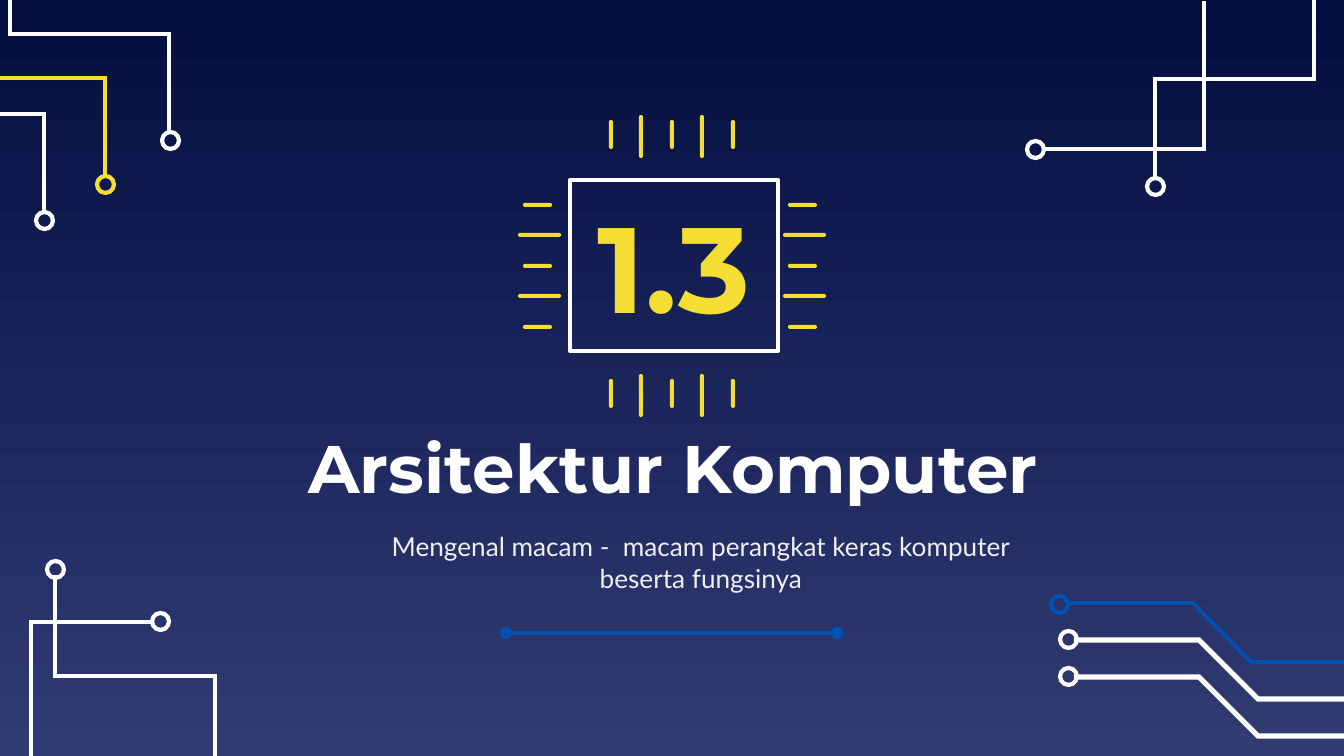
from lxml import etree
from pptx import Presentation
from pptx import util as u
from pptx.dml.color import RGBColor
from pptx.enum import shapes, text
from pptx.oxml import ns

PX = 914400 / 134.4  # EMU per px
NIGHT = RGBColor(0x04, 0x0E, 0x41)
INDIGO = RGBColor(0x30, 0x3B, 0x72)
WHITE = RGBColor(0xFF, 0xFF, 0xFF)
YELLOW = RGBColor(0xF5, 0xDE, 0x34)
BLUE = RGBColor(0x01, 0x52, 0xB1)
PALE = RGBColor(0xEF, 0xEF, 0xEF)


def add_outlined(kind, left, top, width, height, color):
    shape = slide.shapes.add_shape(kind, *[u.Emu(round(v * PX)) for v in (left, top, width, height)])
    shape.shadow.inherit = False
    shape.fill.background()
    shape.line.color.rgb = color
    shape.line.width = u.Pt(2.25)
    return shape


def write(frame, words, font, size, color, bold):
    frame.word_wrap = True
    frame.auto_size = text.MSO_AUTO_SIZE.NONE
    frame.vertical_anchor = text.MSO_ANCHOR.MIDDLE
    frame.margin_left = frame.margin_right = u.Inches(0.1)
    frame.margin_top = frame.margin_bottom = u.Inches(0.1)
    paragraph = frame.paragraphs[0]
    paragraph.alignment = text.PP_ALIGN.CENTER
    paragraph.space_before = u.Pt(0)
    run = paragraph.add_run()
    run.text = words
    run.font.name = font
    run.font.size = u.Pt(size)
    run.font.bold = bold
    run.font.color.rgb = color


deck = Presentation()
deck.slide_width = u.Emu(round(1344 * PX))
deck.slide_height = u.Emu(round(756 * PX))
slide = deck.slides.add_slide(deck.slide_layouts[0])

# Background, dark at the top
sky = slide.background.fill
sky.gradient()
sky.gradient_angle = 270
for stop, shade in zip(sky.gradient_stops, (NIGHT, INDIGO)):
    stop.color.rgb = shade

# Circuit traces: colour, line width, ring centre, corner points
traces = [
    (BLUE, 2, (1059, 604), [(1068, 603), (1193, 603), (1251, 662), (1344, 662)]),
    (WHITE, 2.25, (55, 569), [(55, 575), (55, 676), (215, 676), (215, 756)]),
    (WHITE, 2.25, (160, 621), [(152, 622), (31, 622), (31, 756)]),
    (WHITE, 2.25, (1035, 149), [(1042, 149), (1204, 149), (1204, 1)]),
    (WHITE, 2.25, (1155, 186), [(1155, 179), (1155, 79), (1314, 79), (1314, 0)]),
    (WHITE, 2.25, (44, 220), [(44, 213), (44, 114), (0, 114)]),
    (YELLOW, 2.25, (105, 184), [(105, 177), (105, 78), (0, 78)]),
    (WHITE, 2.25, (170, 140), [(169, 134), (169, 34), (10, 34), (10, 0)]),
]
for drop in (0, 37):
    traces.append((WHITE, 2.75, (1068, 639 + drop),
                   [(1074, 640 + drop), (1199, 640 + drop), (1258, 699 + drop), (1344, 699 + drop)]))

for color, weight, (ring_x, ring_y), corners in traces:
    builder = slide.shapes.build_freeform(*corners[0], scale=PX)
    builder.add_line_segments(corners[1:], close=False)
    trace = builder.convert_to_shape()
    trace.shadow.inherit = False
    trace.fill.background()
    trace.line.color.rgb = color
    trace.line.width = u.Pt(weight)
    etree.SubElement(trace.line._get_or_add_ln(), ns.qn("a:miter"), lim="800000")
    add_outlined(shapes.MSO_SHAPE.OVAL, ring_x - 8, ring_y - 8, 17, 17, color)

# Chip with its number
chip = add_outlined(shapes.MSO_SHAPE.RECTANGLE, 570, 180, 208, 171, WHITE)
write(chip.text_frame, "1.3", "Montserrat", 65, YELLOW, True)

# Chip pins: five a side, long ones second and fourth
for upright, first, edges in ((True, 611, (115, 374)), (False, 205, (518, 783))):
    for edge in edges:
        for i in range(5):
            across = first + round(30.4 * i) - 2
            along, length = (edge, 43) if i % 2 else (edge + 5, 29)
            box = (across, along, 4, length) if upright else (along, across, length, 4)
            pin = add_outlined(shapes.MSO_SHAPE.ROUNDED_RECTANGLE, *box, YELLOW)
            pin.adjustments[0] = 0.5
            pin.fill.solid()
            pin.fill.fore_color.rgb = YELLOW
            pin.line.fill.background()

# Title and subtitle
headings = (
    (slide.shapes.title, (169, 422, 1008, 90), "Arsitektur Komputer", "Montserrat", 36, WHITE, True),
    (slide.placeholders[1], (375, 531, 652, 62),
     "Mengenal macam -  macam perangkat keras komputer beserta fungsinya", "Lato", 14, PALE, False),
)
for heading, box, *wording in headings:
    heading.left, heading.top, heading.width, heading.height = [u.Emu(round(v * PX)) for v in box]
    write(heading.text_frame, *wording)

# Rule with round ends
rule = slide.shapes.add_connector(
    shapes.MSO_CONNECTOR.STRAIGHT, *[u.Emu(round(v * PX)) for v in (506, 633, 837, 633)])
rule.line.color.rgb = BLUE
rule.line.width = u.Pt(2.25)
for end in ("a:headEnd", "a:tailEnd"):
    etree.SubElement(rule.line._get_or_add_ln(), ns.qn(end), type="oval")
etree.SubElement(rule._element.spPr, ns.qn("a:effectLst"))

deck.save("out.pptx")
